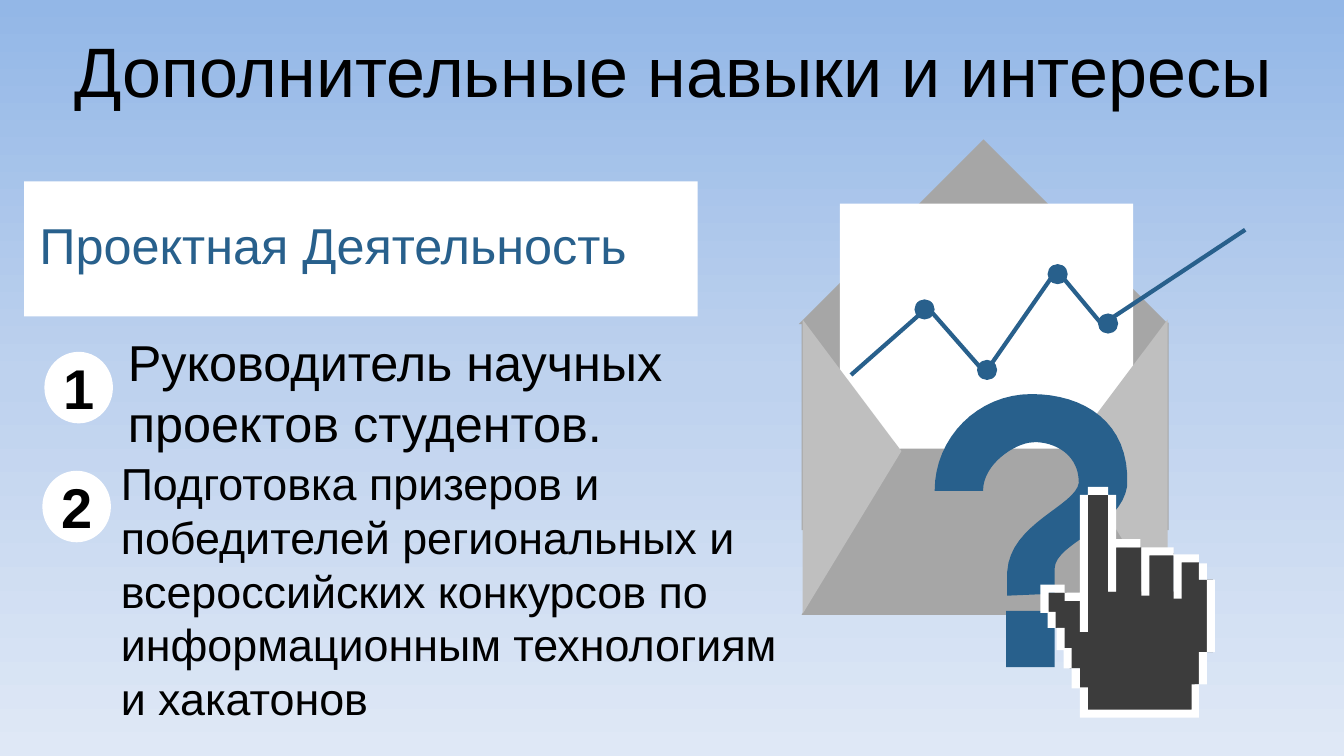
from copy import deepcopy

from lxml.etree import SubElement
from pptx import Presentation
from pptx.dml.color import RGBColor
from pptx.enum.shapes import MSO_SHAPE
from pptx.enum.text import MSO_ANCHOR, MSO_AUTO_SIZE, PP_ALIGN
from pptx.oxml.ns import qn
from pptx.util import Inches, Pt

BLUE, WHITE, BLACK = "28608C", "FFFFFF", "000000"
GREY, FLAP_GREY, HAND_GREY = "A6A6A6", "BFBFBF", "3C3C3C"
SKY = [(0, "93B7E7"), (0.5, "BED2EE"), (1, "DFE8F6")]


def colour(code):
    return RGBColor.from_string(code)


def paint(shape, fill=None, line=None):
    shape.shadow.inherit = False
    if fill:
        shape.fill.solid()
        shape.fill.fore_color.rgb = colour(fill)
    else:
        shape.fill.background()
    if line:
        shape.line.color.rgb = colour(line)
        shape.line.width = Pt(3)
    else:
        shape.line.fill.background()


def add_block(page, kind, box, fill, rotation=0, adjust=None):
    shape = page.shapes.add_shape(kind, *map(Inches, box))
    paint(shape, fill)
    shape.rotation = rotation
    if adjust is not None:
        shape.adjustments[0] = adjust


def add_outline(page, origin, contours, closed=True, **look):
    """Draw point lists, given in inches from origin, as one freeform."""
    contours = [[(Inches(x), Inches(y)) for x, y in points] for points in contours]
    builder = page.shapes.build_freeform(*contours[0][0])
    for index, points in enumerate(contours):
        if index:
            builder.move_to(*points[0])
        builder.add_line_segments(points[1:], close=closed)
    paint(builder.convert_to_shape(*map(Inches, origin)), **look)


def stairs(x, y, *stops):
    """Points of a right-angled outline: stops are the next x, y, x, y and so on."""
    points = [(x, y)]
    for index, stop in enumerate(stops):
        x, y = (x, stop) if index % 2 else (stop, y)
        points.append((x, y))
    return points


def bend(start, *controls, steps=16):
    """Points after start on a cubic curve with the given controls and end."""
    knots = (start, *controls)
    points = []
    for step in range(1, steps + 1):
        t = step / steps
        weights = ((1 - t) ** 3, 3 * t * (1 - t) ** 2, 3 * t * t * (1 - t), t ** 3)
        points.append(tuple(sum(w * knot[axis] for w, knot in zip(weights, knots))
                            for axis in (0, 1)))
    return points


def write(shape, text, size, ink=BLACK, align=PP_ALIGN.LEFT, bold=False, margins=None):
    frame = shape.text_frame
    settings = {"word_wrap": True, "auto_size": MSO_AUTO_SIZE.NONE,
                "vertical_anchor": MSO_ANCHOR.MIDDLE}
    if margins:
        sides = ("margin_left", "margin_top", "margin_right", "margin_bottom")
        settings.update(zip(sides, map(Inches, margins)))
    for name, value in settings.items():
        setattr(frame, name, value)
    para = frame.paragraphs[0]
    para.alignment = align
    span = para.add_run()
    span.text = text
    for name, value in {"name": "Arial", "size": Pt(size), "bold": bold}.items():
        setattr(span.font, name, value)
    span.font.color.rgb = colour(ink)
    return para


def add_label(page, box, text, size, **look):
    write(page.shapes.add_textbox(*map(Inches, box)), text, size, **look)


def add_background(page):
    fill = page.background.fill
    fill.gradient()
    fill.gradient_angle = 270
    stop_list = page.element.find(".//" + qn("a:gsLst"))
    stop_list.insert(1, deepcopy(stop_list[0]))
    for stop, (position, code) in zip(fill.gradient_stops, SKY):
        stop.position = position
        stop.color.rgb = colour(code)
        for effect in list(stop_list[SKY.index((position, code))][0]):
            effect.getparent().remove(effect)


def add_title(page, box, text):
    title = page.shapes.title
    for name, value in zip(("left", "top", "width", "height"), box):
        setattr(title, name, Inches(value))
    para = write(title, text, 50, align=PP_ALIGN.CENTER)
    para.line_spacing = 0.8
    para.space_before = Pt(10)


def add_envelope(page, left, top):
    parts = [
        (MSO_SHAPE.RECTANGLE, 0, 1.82, 3.64, 2.06, GREY, 0, None),
        (MSO_SHAPE.RIGHT_TRIANGLE, 0.51, 0.54, 2.59, 2.59, GREY, 135, None),
        (MSO_SHAPE.RECTANGLE, 0.38, 0.64, 2.91, 4.01, WHITE, 0, None),
        (MSO_SHAPE.TRAPEZOID, 0, 3.07, 3.66, 1.65, GREY, 0, 0.595),
        (MSO_SHAPE.ISOSCELES_TRIANGLE, -0.96, 2.76, 2.92, 0.98, FLAP_GREY, 90, 0.447),
        (MSO_SHAPE.ISOSCELES_TRIANGLE, 1.68, 2.76, 2.92, 0.98, FLAP_GREY, 270, 0.553),
    ]
    for kind, x, y, width, height, *look in parts:
        add_block(page, kind, (left + x, top + y, width, height), *look)


def add_trend(page, left, top):
    trend = [(0, 1.44), (0.76, 0.77), (1.33, 1.42), (2.04, 0.4), (2.49, 0.94), (3.91, 0)]
    add_outline(page, (left, top), [trend], closed=False, line=BLUE)
    for x, y in [(0.73, 0.79), (1.35, 1.39), (2.05, 0.44), (2.55, 0.93)]:
        add_block(page, MSO_SHAPE.OVAL, (left + x - 0.1, top + y - 0.1, 0.2, 0.2), BLUE)


def add_question_mark(page, left, top):
    points = [(0.96, 0)]
    for segment in [
        [(1.47, 0), (1.94, 0.27), (1.91, 0.91)],
        [(1.85, 1.33), (1.2, 1.47), (1.19, 1.73)],
        [(1.19, 1.98)],
        [(0.72, 2)],
        [(0.72, 1.76)],
        [(0.75, 1.28), (1.4, 1.11), (1.43, 0.88)],
        [(1.43, 0.55), (1.11, 0.46), (0.96, 0.48)],
        [(0.8, 0.49), (0.48, 0.69), (0.48, 0.96)],
        [(0, 0.96)],
        [(0, 0.43), (0.43, 0), (0.96, 0)],
    ]:
        points += bend(points[-1], *segment) if len(segment) == 3 else segment
    add_outline(page, (left, top), [points], fill=BLUE)
    add_block(page, MSO_SHAPE.RECTANGLE, (left + 0.71, top + 2.15, 0.48, 0.56), BLUE)


def add_hand(page, left, top):
    hand = stairs(0.47, 0.08, 0.67, 1.04, 0.75, 0.6, 1, 1.04, 1.07, 0.66, 1.32, 1.04,
                  1.33, 0.74, 1.57, 0.92, 1.71, 1.64, 1.57, 1.96, 1.53, 2.23, 0.44, 2,
                  0.39, 1.8, 0.29, 1.6, 0.19, 1.4, 0.11, 1.25, 0.01, 1.05, 0.26, 1.07,
                  0.36, 1.08, 0.44, 1.04, 0.47)
    border = [
        (1.57, 1.64, 1.65, 1.96, 1.57, 2.29, 0.39, 1.99, 0.47, 2.21, 1.5, 1.96, 1.57),
        (0.16, 1.4, 0.24, 1.6, 0.31, 1.8, 0.39, 2, 0.31, 1.8, 0.23, 1.62, 0.16),
        (1.65, 0.92, 1.73, 1.64, 1.65),
        (1.57, 0.76, 1.65, 0.92, 1.57),
        (1, 0.6, 1.32, 0.67, 1.57, 0.75, 1.4, 1.11, 1.32, 0.68, 1.08, 1.08, 1),
        (0.67, 0.08, 0.75, 0.52, 0.99, 0.6, 0.75, 1.04, 0.67),
        (0.39, 0.08, 0.47, 1.44, 0.39, 1.13, 0.24, 1.05, 0.08, 1.24, 0.15, 1.4,
         0.07, 1.25, 0, 0.97, 0.24, 1.05, 0.39),
        (0.47, 0, 0.67, 0.08, 0.47),
    ]
    add_outline(page, (left, top), [hand], fill=HAND_GREY)
    add_outline(page, (left, top), [stairs(*part) for part in border], fill=WHITE)


def add_heading(page, left, top, text):
    add_block(page, MSO_SHAPE.RECTANGLE, (left, top, 6.68, 1.34), WHITE)
    add_label(page, (left + 0.15, top + 0.32, 6.08, 0.61), text, 36, ink=BLUE,
              margins=(0, 0, 0, 0))


def add_item(page, left, top, number, text, size, text_box):
    add_block(page, MSO_SHAPE.OVAL, (left, top, 0.68, 0.71), WHITE)
    add_label(page, (left + 0.04, top + 0.02, 0.6, 0.67), number, 40, bold=True,
              align=PP_ALIGN.CENTER, margins=(0.1, 0, 0.1, 0))
    x, y, width, height = text_box
    add_label(page, (left + x, top + y, width, height), text, size)


def main():
    deck = Presentation()
    deck.slide_width, deck.slide_height = Inches(13.33), Inches(7.5)
    page = deck.slides.add_slide(deck.slide_layouts[5])
    add_background(page)
    add_title(page, (0.35, 0.37, 12.66, 0.79), "Дополнительные навыки и интересы")
    add_envelope(page, 7.95, 1.38)
    add_trend(page, 8.44, 2.28)
    add_question_mark(page, 9.27, 3.91)
    add_hand(page, 10.32, 4.83)
    add_heading(page, 0.24, 1.8, "Проектная Деятельность")
    add_item(page, 0.44, 3.49, "1", "Руководитель научных проектов студентов.", 36,
             (0.73, -0.26, 7.07, 1.31))
    add_item(page, 0.42, 4.67, "2", "Подготовка призеров и победителей региональных и "
             "всероссийских конкурсов по информационным технологиям и хакатонов", 32,
             (0.68, -0.21, 6.83, 2.79))
    deck.save("out.pptx")


if __name__ == "__main__":
    main()
